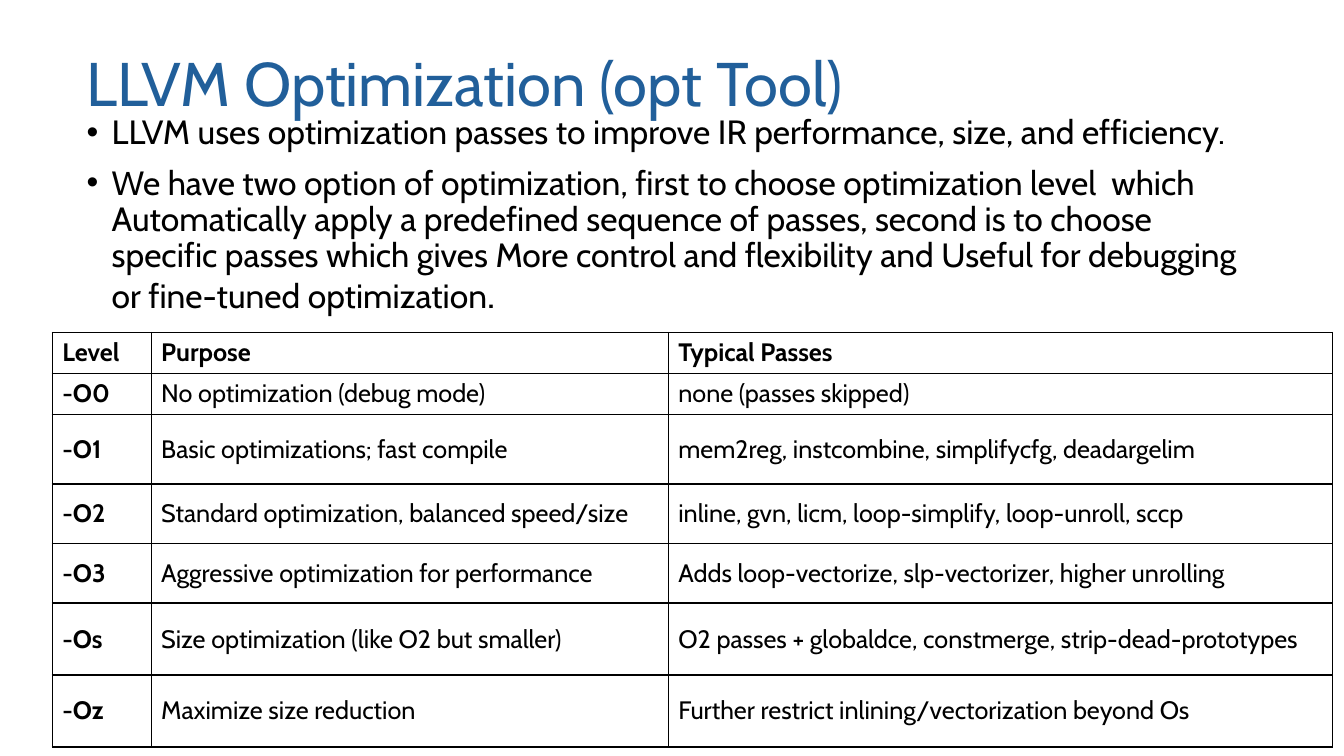
from lxml import etree
from pptx import Presentation
from pptx.dml.color import RGBColor
from pptx.enum.text import MSO_ANCHOR
from pptx.oxml.ns import qn
from pptx.util import Pt

MIDDLE, TOP = MSO_ANCHOR.MIDDLE, MSO_ANCHOR.TOP
BLUE = RGBColor(0x21, 0x5F, 0x9A)
BLACK = RGBColor(0, 0, 0)
FONT = "Cabin"

# Content
TITLE = "LLVM Optimization (opt Tool)"
# Each bullet is a list of (text, size) runs
BULLETS = [
    [("LLVM uses optimization passes to improve IR performance, size, and efficiency.", 24)],
    [("We have two option of optimization, first to choose optimization level  which "
      "Automatically apply a predefined sequence of passes, second is to choose "
      "specific passes which gives More control and flexibility and Useful for "
      "debugging or fine-tuned optimization", 24), (".", 28)],
]
LEVELS = [
    ("Level", "Purpose", "Typical Passes"),
    ("-O0", "No optimization (debug mode)", "none (passes skipped)"),
    ("-O1", "Basic optimizations; fast compile",
     "mem2reg, instcombine, simplifycfg, deadargelim"),
    ("-O2", "Standard optimization, balanced speed/size",
     "inline, gvn, licm, loop-simplify, loop-unroll, sccp"),
    ("-O3", "Aggressive optimization for performance",
     "Adds loop-vectorize, slp-vectorizer, higher unrolling"),
    ("-Os", "Size optimization (like O2 but smaller)",
     "O2 passes + globaldce, constmerge, strip-dead-prototypes"),
    ("-Oz", "Maximize size reduction",
     "Further restrict inlining/vectorization beyond Os"),
]
COL_WIDTHS = [70.6, 369.4, 474.5]
ROW_HEIGHTS = [29.2, 29.2, 50, 42.5, 42.5, 51.4, 51.4]


def add_run(p, text, size, color=BLACK, bold=False):
    r = p.add_run()
    r.text = text
    r.font.name = FONT
    r.font.size = Pt(size)
    r.font.bold = bold
    r.font.color.rgb = color


def add_text_frame(left, top, width, height, anchor):
    box = slide.shapes.add_textbox(Pt(left), Pt(top), Pt(width), Pt(height))
    tf = box.text_frame
    tf.word_wrap = True
    tf.vertical_anchor = anchor
    return tf


def set_bullet(p, indent):
    pPr = p._p.get_or_add_pPr()
    pPr.set("marL", str(Pt(indent)))
    pPr.set("indent", str(-Pt(indent)))
    etree.SubElement(pPr, qn("a:buFont")).set("typeface", "Arial")
    etree.SubElement(pPr, qn("a:buChar")).set("char", "•")


def set_borders(cell, width):
    tcPr = cell._tc.get_or_add_tcPr()
    for i, side in enumerate(("lnL", "lnR", "lnT", "lnB")):
        ln = etree.Element(qn(f"a:{side}"), w=str(Pt(width)))
        fill = etree.SubElement(ln, qn("a:solidFill"))
        etree.SubElement(fill, qn("a:srgbClr")).set("val", str(BLACK))
        tcPr.insert(i, ln)


prs = Presentation()
prs.slide_width, prs.slide_height = Pt(960), Pt(540)
slide = prs.slides.add_slide(prs.slide_layouts[6])

# Title
p = add_text_frame(54.7, 9.4, 828, 104.4, MIDDLE).paragraphs[0]
p.line_spacing = 0.9
add_run(p, TITLE, 44, BLUE)

# Bullets
tf = add_text_frame(54.7, 79.2, 851, 419, TOP)
for i, runs in enumerate(BULLETS):
    p = tf.add_paragraph() if i else tf.paragraphs[0]
    p.line_spacing = 0.9
    p.space_before = Pt(10)
    set_bullet(p, 18)
    for text, size in runs:
        add_run(p, text, size)

# Table of optimization levels
table = slide.shapes.add_table(
    len(LEVELS), len(COL_WIDTHS), Pt(37.4), Pt(237.4),
    Pt(sum(COL_WIDTHS)), Pt(sum(ROW_HEIGHTS))).table
table.first_row = table.horz_banding = False
for column, width in zip(table.columns, COL_WIDTHS):
    column.width = Pt(width)
for row, height in zip(table.rows, ROW_HEIGHTS):
    row.height = Pt(height)
for i, level in enumerate(LEVELS):
    for j, text in enumerate(level):
        cell = table.cell(i, j)
        cell.vertical_anchor = MIDDLE
        cell.fill.background()
        set_borders(cell, 1)
        add_run(cell.text_frame.paragraphs[0], text, 18, bold=i == 0 or j == 0)

prs.save("out.pptx")
